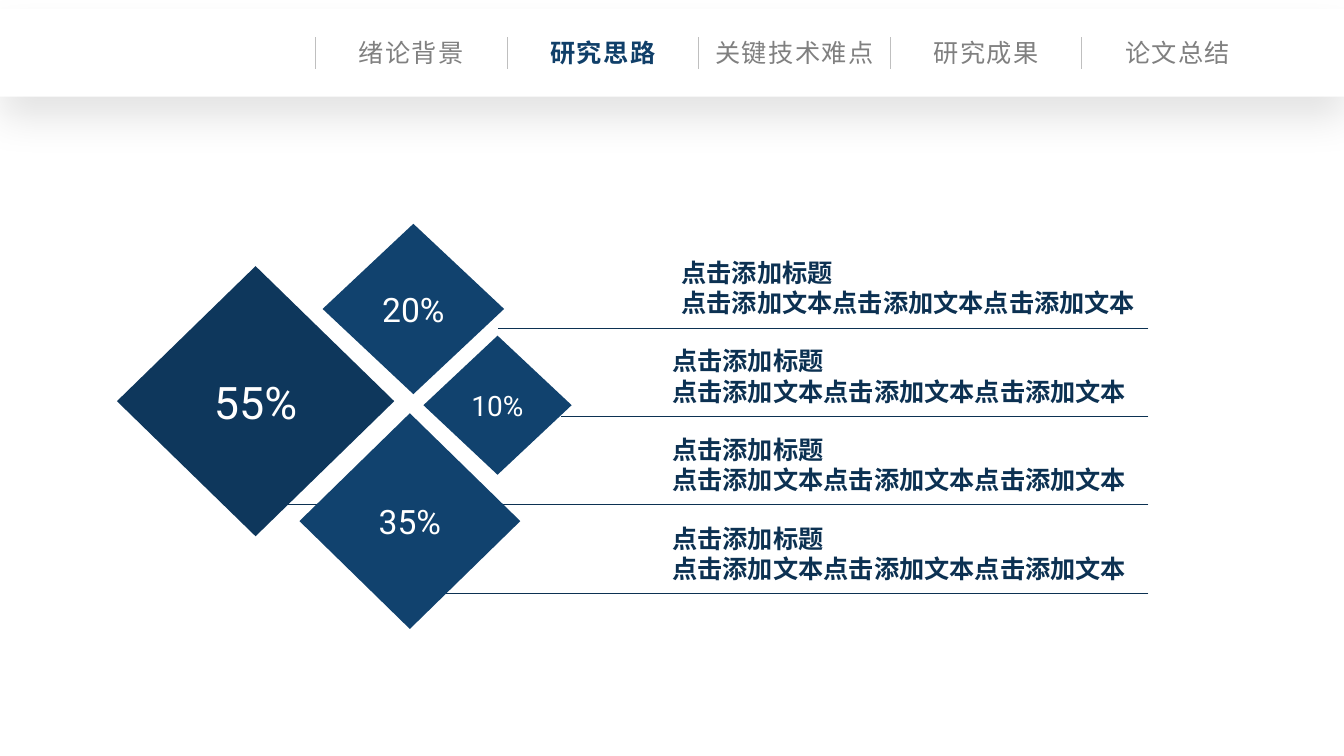
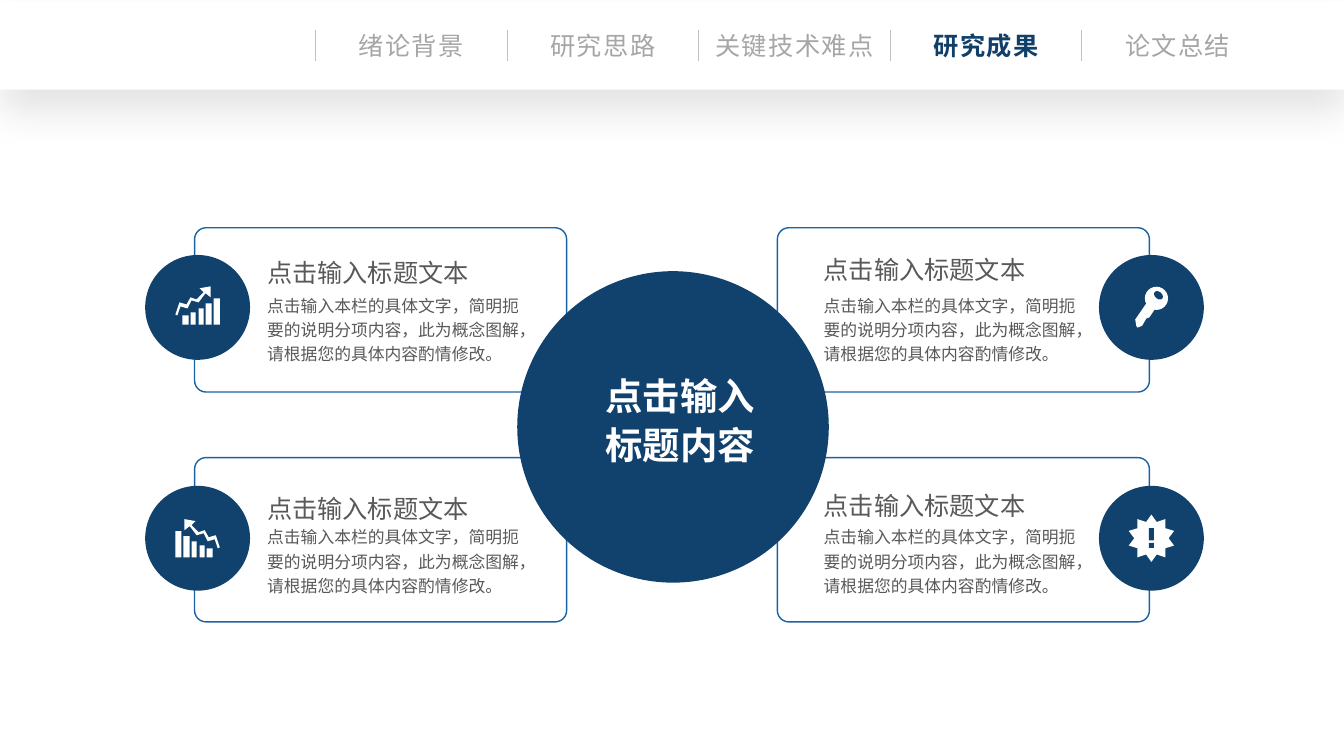
from lxml import etree
from pptx import Presentation
from pptx.dml.color import RGBColor
from pptx.enum.shapes import MSO_CONNECTOR, MSO_SHAPE
from pptx.enum.text import MSO_ANCHOR, PP_ALIGN
from pptx.oxml.ns import qn
from pptx.util import Inches, Pt

RECT, ROUND, OVAL = MSO_SHAPE.RECTANGLE, MSO_SHAPE.ROUNDED_RECTANGLE, MSO_SHAPE.OVAL
DIAMOND, STAR = MSO_SHAPE.FLOWCHART_DECISION, MSO_SHAPE.STAR_10_POINT
STRAIGHT = MSO_CONNECTOR.STRAIGHT
TOP, MIDDLE = MSO_ANCHOR.TOP, MSO_ANCHOR.MIDDLE
LEFT, CENTER = PP_ALIGN.LEFT, PP_ALIGN.CENTER

# Shared style
WIDTH, HEIGHT = 13.33, 7.5
CJK, LATIN = "Noto Sans CJK SC", "Roboto"
NAVY, DEEP, INK, ACTIVE = "11426E", "0E375C", "0C3152", "103F69"
WHITE, RULE, OUTLINE, BODY = "FFFFFF", "BFBFBF", "1963A5", "595959"

# Navigation band
CHAPTERS = ["绪论背景", "研究思路", "关键技术难点", "研究成果", "论文总结"]
NAV_LEFT, NAV_STEP, BAND_HEIGHT = 3.13, 1.9, 0.87

# Slide 1: share, left, top, width, height, size, fill
DIAMONDS = [
    ("20%", 3.2, 2.22, 1.8, 1.69, 24, NAVY),
    ("35%", 2.97, 4.1, 2.19, 2.14, 24, NAVY),
    ("55%", 1.16, 2.64, 2.75, 2.68, 32, DEEP),
    ("10%", 4.2, 3.33, 1.47, 1.38, 20, NAVY),
]
ITEM_TEXT = "点击添加标题\n点击添加文本点击添加文本点击添加文本"
ITEM_LEFTS = [6.66, 6.57, 6.57, 6.57]
ITEM_TOP, ITEM_STEP = 2.5, 0.88
RULE_STARTS = [4.94, 5.56, 2.81, 4.32]
RULE_END, RULE_FIRST, RULE_LAST = 11.39, 3.26, 5.88

# Slide 2
CENTRE_TITLE = "点击输入\n标题内容"
CARD_TITLE = "点击输入标题文本"
CARD_TEXT = "点击输入本栏的具体文字，简明扼要的说明分项内容，此为概念图解，请根据您的具体内容酌情修改。"
# Card left, text left, title line spacing, disc centre
COLUMNS = [(1.93, 2.65, 1.2, 1.96), (7.71, 8.17, 1.0, 11.42)]
# Card top, title top, text top, disc centre
ROWS = [(2.26, 2.45, 2.89, 3.05), (4.54, 4.79, 5.19, 5.34)]
CARD_WIDTH, CARD_HEIGHT, DISC = 3.69, 1.63, 1.04

# Icon outlines, in hundredths of an inch from the disc centre
TREND_ARROW = [(-6, -7), (1, -5), (7, -13), (8, -14), (13, -10), (13, -21), (2, -19), (6, -15),
               (-1, -8), (-7, -10), (-11, -3), (-18, -5), (-22, 7), (-20, 8), (-17, -1), (-10, 1)]
TREND_BARS = [(-15, 6, 8), (-7, 5, 5), (1, 5, 1), (8, 6, -4), (16, 6, -9)]
BAR_BASE = 17
KEY_SHAFT = [(-5, -4), (-16, 12), (-15, 18), (-14, 20), (-11, 19), (-9, 18),
             (-5, 11), (-2, 10), (4, 1)]


def rgb(value):
    return RGBColor.from_string(value)


def inches(*values):
    return [Inches(value) for value in values]


def write(shape, text, size, color, font=CJK, bold=False, align=LEFT, anchor=TOP,
          wrap=True, margin=None, leading=None, gap=0, tracking=0, breaks=False):
    """Fill a shape with text; newlines make paragraphs, or line breaks if asked."""
    frame = shape.text_frame
    frame.word_wrap, frame.vertical_anchor = wrap, anchor
    if margin is not None:
        for side in ("left", "top", "right", "bottom"):
            setattr(frame, f"margin_{side}", Inches(margin))
    para = frame.paragraphs[0]
    for number, line in enumerate(text.split("\n")):
        if number and breaks:
            para.add_line_break()
        elif number:
            para = frame.add_paragraph()
            para.space_before = Pt(gap)
        para.alignment = align
        if leading:
            para.line_spacing = leading
        span = para.add_run()
        span.text = line
        for name, value in {"name": font, "size": Pt(size), "bold": bold}.items():
            setattr(span.font, name, value)
        span.font.color.rgb = rgb(color)
        props = span.font._element
        etree.SubElement(props, qn("a:ea")).set("typeface", font)
        if tracking:
            props.set("spc", str(tracking * 100))


def add_text(page, left, top, width, height, text, size, color, **style):
    box = page.shapes.add_textbox(*inches(left, top, width, height))
    write(box, text, size, color, **style)


def paint(shape, fill=None, line=None):
    shape.shadow.inherit = False
    if fill:
        shape.fill.solid()
        shape.fill.fore_color.rgb = rgb(fill)
    else:
        shape.fill.background()
    if line:
        shape.line.color.rgb = rgb(line)
        shape.line.width = Pt(1)
    else:
        shape.line.fill.background()
    return shape


def add_shape(page, kind, left, top, width, height, fill=None, line=None):
    return paint(page.shapes.add_shape(kind, *inches(left, top, width, height)), fill, line)


def add_centred(page, kind, x, y, width, height, fill):
    return add_shape(page, kind, x - width / 2, y - height / 2, width, height, fill)


def add_line(page, x1, y1, x2, y2, color, weight):
    line = page.shapes.add_connector(STRAIGHT, *inches(x1, y1, x2, y2))
    line.line.color.rgb = rgb(color)
    line.line.width = Pt(weight)
    etree.SubElement(line._element.spPr, qn("a:effectLst"))


def add_outline(page, x, y, contours, flip=1):
    """Draw closed white contours around a centre; flip=-1 mirrors them."""
    builder = None
    for contour in contours:
        points = [(round(x * 100) + flip * dx, round(y * 100) + dy) for dx, dy in contour]
        if builder is None:
            builder = page.shapes.build_freeform(*points[0], scale=Inches(0.01))
        else:
            builder.move_to(*points[0])
        builder.add_line_segments(points[1:], close=True)
    paint(builder.convert_to_shape(), WHITE)


def add_navigation(page, top, current, color):
    band = add_shape(page, RECT, 0, top, WIDTH, BAND_HEIGHT, WHITE)
    # Soft shadow below the band
    effects = band._element.spPr.find(qn("a:effectLst"))
    shadow = etree.SubElement(effects, qn("a:outerShdw"), blurRad=str(Pt(28)),
                              dist=str(Pt(15)), dir="5400000", algn="t", rotWithShape="0")
    tint = etree.SubElement(shadow, qn("a:srgbClr"), val="000000")
    etree.SubElement(tint, qn("a:alpha"), val="11000")
    for number, chapter in enumerate(CHAPTERS):
        x = NAV_LEFT + number * NAV_STEP
        active = number == current
        add_line(page, x, top + 0.28, x, top + 0.59, RULE, 0.5)
        add_text(page, x, top + 0.23, NAV_STEP, 0.4, chapter, 18, ACTIVE if active else color,
                 bold=active, align=CENTER, wrap=False, tracking=1)


def trend_icon(page, x, y, flip):
    bars = [[(left, BAR_BASE), (left, top), (left + width, top), (left + width, BAR_BASE)]
            for left, width, top in TREND_BARS]
    add_outline(page, x, y, [TREND_ARROW] + bars, flip)


def key_icon(page, x, y):
    add_outline(page, x, y, [KEY_SHAFT])
    add_centred(page, OVAL, x + 0.05, y - 0.09, 0.23, 0.23, WHITE)
    add_centred(page, OVAL, x + 0.07, y - 0.12, 0.1, 0.07, NAVY).rotation = 40


def alert_icon(page, x, y):
    add_centred(page, STAR, x, y, 0.45, 0.47, WHITE).adjustments[0] = 0.36
    for offset, height in [(-0.04, 0.12), (0.07, 0.05)]:
        add_centred(page, RECT, x, y + offset, 0.05, height, NAVY)


def build_shares(page):
    step = (RULE_LAST - RULE_FIRST) / (len(RULE_STARTS) - 1)
    for row, start in enumerate(RULE_STARTS):
        y = RULE_FIRST + row * step
        add_line(page, RULE_END, y, start, y, INK, 0.25)
    for share, left, top, width, height, size, fill in DIAMONDS:
        diamond = add_shape(page, DIAMOND, left, top, width, height, fill)
        write(diamond, share, size, WHITE, font=LATIN, align=CENTER, anchor=MIDDLE, wrap=False)
    for row, left in enumerate(ITEM_LEFTS):
        add_text(page, left, ITEM_TOP + row * ITEM_STEP, 4.75, 0.71, ITEM_TEXT, 18, INK,
                 bold=True, wrap=False, breaks=True)
    add_navigation(page, 0.09, 1, "808080")


def build_cards(page):
    cells = [(column, row) for column in COLUMNS for row in ROWS]
    for (left, *_), (top, *_) in cells:
        card = add_shape(page, ROUND, left, top, CARD_WIDTH, CARD_HEIGHT, line=OUTLINE)
        card.adjustments[0] = 0.07
    # Centre disc
    add_shape(page, OVAL, 5.13, 2.69, 3.09, 3.09, NAVY)
    add_text(page, 5.8, 3.7, 1.89, 0.93, CENTRE_TITLE, 26.7, WHITE, bold=True,
             align=CENTER, anchor=MIDDLE, margin=0, gap=2.7)
    # Card wording and side discs
    for (_, left, leading, x), (_, title_top, text_top, y) in cells:
        add_text(page, left, text_top, 2.54, 0.56, CARD_TEXT, 12, BODY, margin=0, leading=1.2)
        add_text(page, left, title_top, 2.04, 0.44, CARD_TITLE, 18, BODY,
                 anchor=MIDDLE, margin=0, leading=leading)
        add_centred(page, OVAL, x, y, DISC, DISC, NAVY)
    # Icons
    (left_x, right_x), (upper_y, lower_y) = [[part[-1] for part in axis] for axis in (COLUMNS, ROWS)]
    trend_icon(page, left_x, upper_y, 1)
    trend_icon(page, left_x, lower_y + 0.02, -1)
    key_icon(page, right_x, upper_y)
    alert_icon(page, right_x, lower_y)
    add_navigation(page, 0.02, 3, "A6A6A6")


def main():
    deck = Presentation()
    deck.slide_width, deck.slide_height = inches(WIDTH, HEIGHT)
    for build in (build_shares, build_cards):
        build(deck.slides.add_slide(deck.slide_layouts[6]))
    deck.save("out.pptx")


if __name__ == "__main__":
    main()
